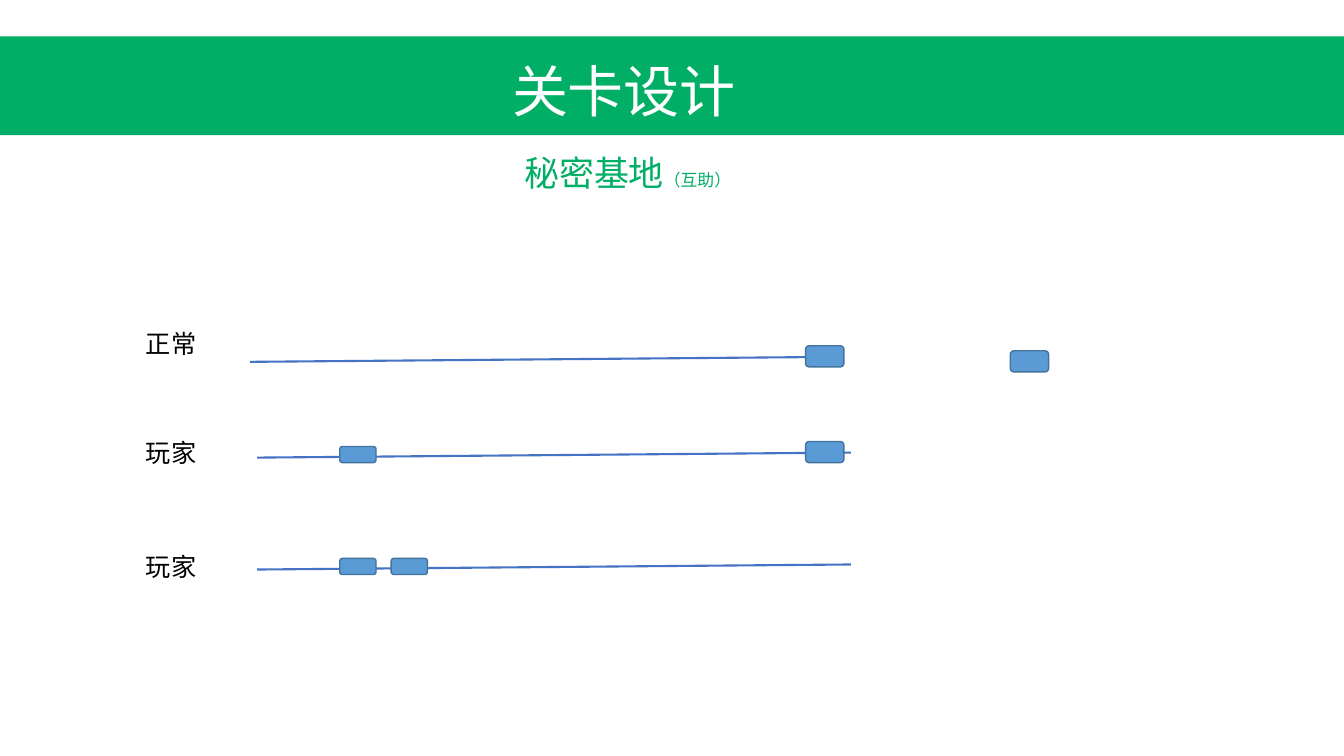
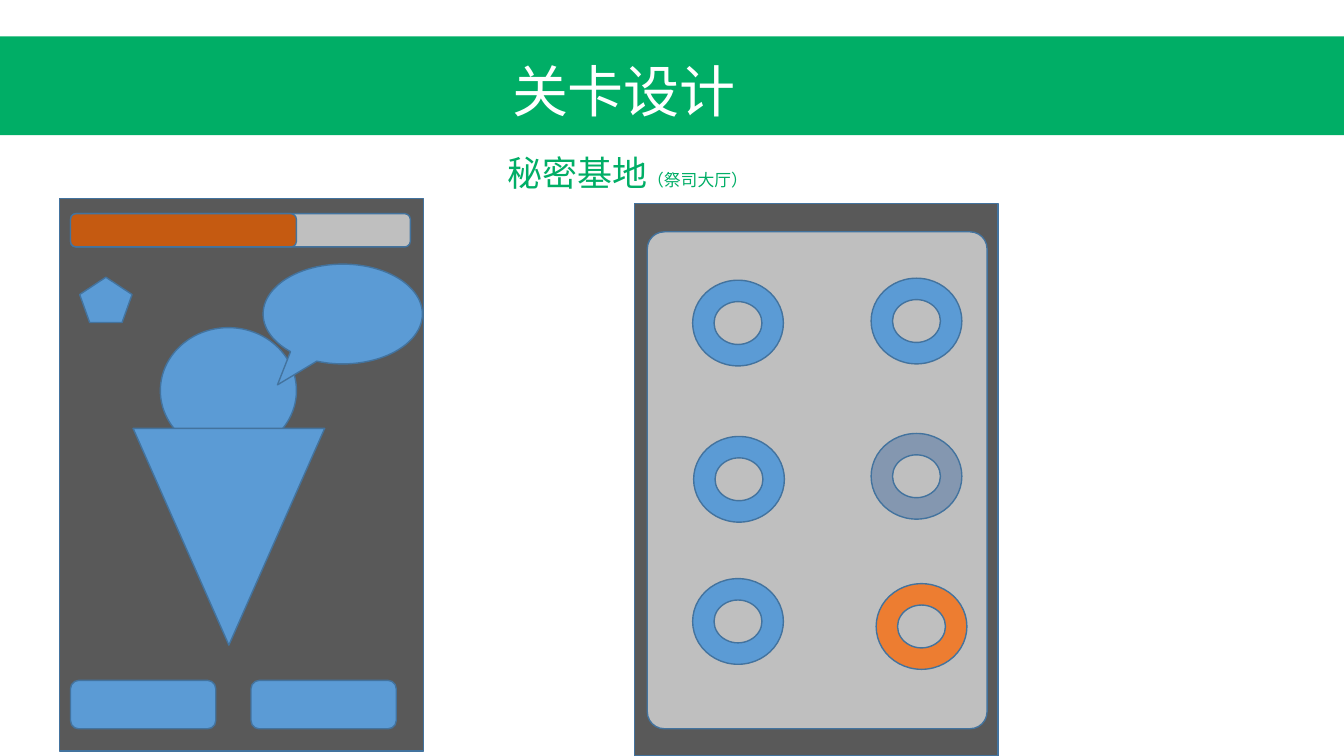
from lxml import etree
from pptx import Presentation
from pptx.dml.color import RGBColor
from pptx.enum import shapes, text
from pptx.oxml import ns
from pptx.util import Inches, Pt

COLORS = {
    "green": "00AE66", "white": "FFFFFF", "black": "000000",
    "blue": "5B9BD5", "edge": "43739E", "track": "4472C4",
    "dark": "595959", "gray": "BFBFBF", "rust": "C55A11",
    "slate": "8497B0", "orange": "ED7D31",
}
CJK_FONT = "Noto Sans CJK SC"
KIND = shapes.MSO_SHAPE
NODE_SIZES = {"large": (0.38, 0.21), "small": (0.36, 0.16)}


def rgb(name):
    """Return the named colour."""
    return RGBColor.from_string(COLORS[name])


def add_figure(parent, kind, box, fill="blue", line="edge"):
    """Add a filled preset shape at box (left, top, width, height)."""
    shape = parent.shapes.add_shape(kind, *map(Inches, box))
    shape.shadow.inherit = False
    shape.fill.solid()
    shape.fill.fore_color.rgb = rgb(fill)
    if line:
        shape.line.color.rgb = rgb(line)
        shape.line.width = Pt(1)
    else:
        shape.line.fill.background()
    return shape


def add_text(page, box, spans, color, font=CJK_FONT, align=text.PP_ALIGN.LEFT):
    """Add one paragraph made of (wording, size) spans."""
    frame = page.shapes.add_textbox(*map(Inches, box)).text_frame
    frame.word_wrap = True
    para = frame.paragraphs[0]
    para.alignment = align
    para.font.name = font
    para.font.color.rgb = rgb(color)
    defaults = para._p.pPr.find(ns.qn("a:defRPr"))
    etree.SubElement(defaults, ns.qn("a:ea"), typeface=CJK_FONT)
    for wording, size in spans:
        span = para.add_run()
        span.text = wording
        span.font.size = Pt(size)


def add_page(deck, topic):
    """Add a page with the green title band and a subtitle."""
    page = deck.slides.add_slide(deck.slide_layouts[6])
    add_figure(page, KIND.RECTANGLE, (0, 0.36, 13.33, 0.98), "green", None)
    add_text(page, (4.98, 0.51, 2.49, 0.77), [("关卡设计", 40)], "white")
    add_text(page, (3.72, 1.45, 5.01, 0.52), [("秘密基地", 25), (topic, 12)],
             "green", align=text.PP_ALIGN.CENTER)
    return page


def add_timeline(page, left, top, label, label_rise, nodes):
    """Add a labelled track starting at left, top, with (size, x, rise) nodes."""
    track = page.shapes.add_connector(
        shapes.MSO_CONNECTOR.STRAIGHT,
        *map(Inches, (left, top, left + 5.89, top - 0.05)))
    track.line.color.rgb = rgb("track")
    track.line.width = Pt(1.5)
    etree.SubElement(track._element.spPr, ns.qn("a:effectLst"))
    add_text(page, (1.35, top - label_rise, 1.04, 0.4), [(label, 18)],
             "black", "Arial")
    for size, x, rise in nodes:
        add_figure(page, KIND.ROUNDED_RECTANGLE,
                   (left + x, top - rise, *NODE_SIZES[size]))


def add_character_screen(page, left, top):
    """Add the phone screen with progress bar, character and buttons."""
    screen = page.shapes.add_group_shape()

    def part(kind, x, y, width, height, fill="blue"):
        """Add a part at an offset within the screen."""
        return add_figure(screen, kind, (left + x, top + y, width, height), fill)

    part(KIND.RECTANGLE, 0, 0, 3.61, 5.48, "dark")
    part(KIND.OVAL, 1, 1.28, 1.35, 1.25)
    part(KIND.ISOSCELES_TRIANGLE, 0.73, 2.28, 1.9, 2.15).rotation = 180
    speech = part(KIND.OVAL_CALLOUT, 2.02, 0.65, 1.58, 0.99)
    speech.adjustments[0] = -0.41
    speech.adjustments[1] = 0.71
    for x in (0.11, 1.9):
        part(KIND.ROUNDED_RECTANGLE, x, 4.78, 1.44, 0.48)
    part(KIND.REGULAR_PENTAGON, 0.2, 0.78, 0.52, 0.45)
    for width, fill in ((3.37, "gray"), (2.24, "rust")):
        part(KIND.ROUNDED_RECTANGLE, 0.11, 0.15, width, 0.33, fill)


def add_ring_screen(page, left, top):
    """Add the phone screen with a panel of six rings."""
    add_figure(page, KIND.RECTANGLE, (left, top, 3.61, 5.48), "dark")
    panel = add_figure(page, KIND.ROUNDED_RECTANGLE,
                       (left + 0.13, top + 0.28, 3.37, 4.93), "gray")
    panel.adjustments[0] = 0.05
    rings = [
        (0.58, 0.76, "blue"), (2.35, 0.74, "blue"),
        (0.59, 2.31, "blue"), (2.35, 2.28, "slate"),
        (0.58, 3.72, "blue"), (2.4, 3.77, "orange"),
    ]
    for x, y, fill in rings:
        add_figure(page, KIND.DONUT, (left + x, top + y, 0.9, 0.85), fill)


def main():
    """Build and save the deck."""
    deck = Presentation()
    deck.slide_width, deck.slide_height = Inches(13.33), Inches(7.5)

    page = add_page(deck, "（互助）")
    add_timeline(page, 2.48, 3.59, "正常", 0.38,
                 [("large", 5.51, 0.16), ("large", 7.54, 0.11)])
    add_timeline(page, 2.55, 4.54, "玩家", 0.25,
                 [("small", 0.82, 0.11), ("large", 5.44, 0.16)])
    add_timeline(page, 2.55, 5.65, "玩家", 0.23,
                 [("small", 0.82, 0.11), ("small", 1.33, 0.11)])

    page = add_page(deck, "（祭司大厅）")
    add_character_screen(page, 0.59, 1.97)
    add_ring_screen(page, 6.29, 2.02)
    deck.save("out.pptx")


if __name__ == "__main__":
    main()
